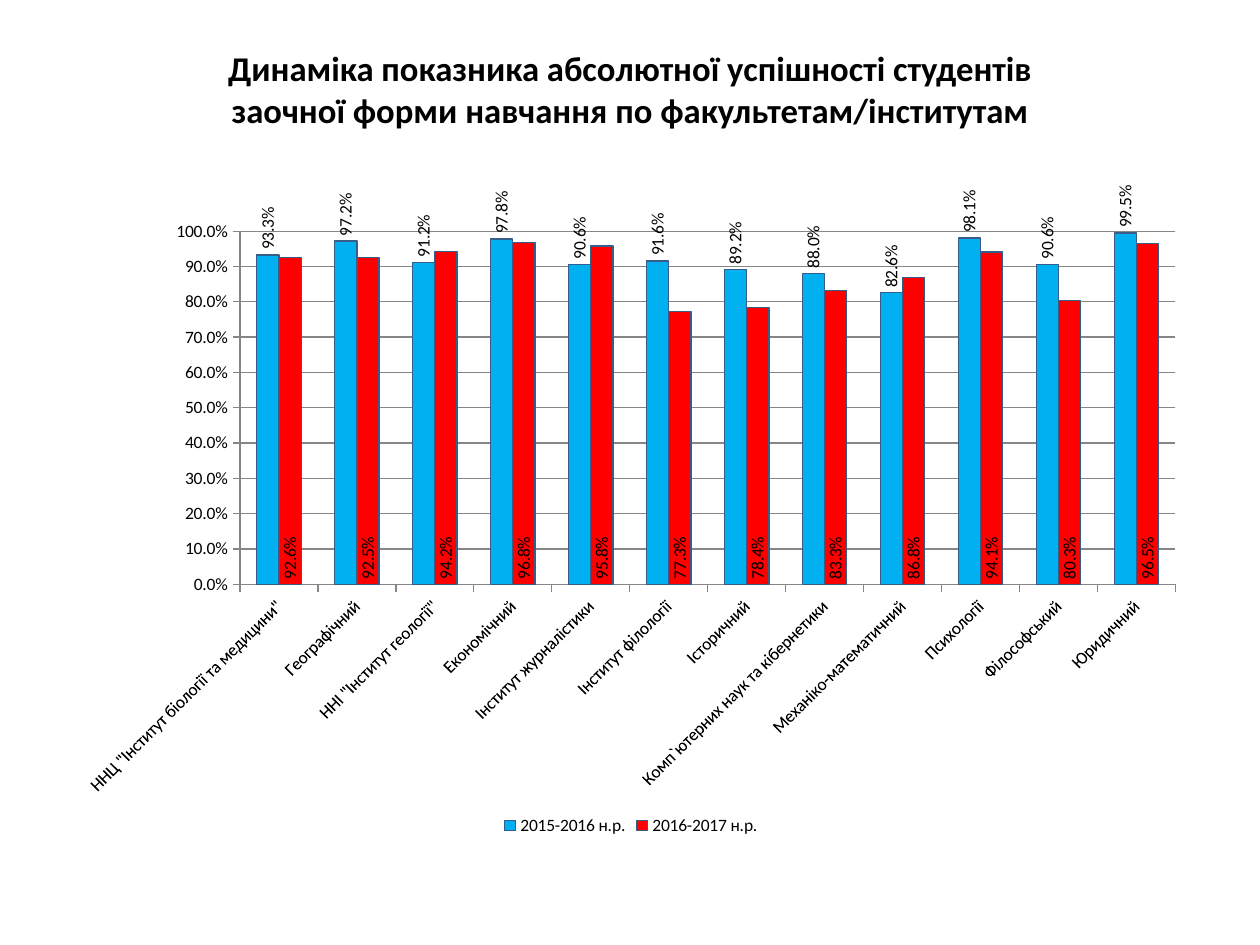
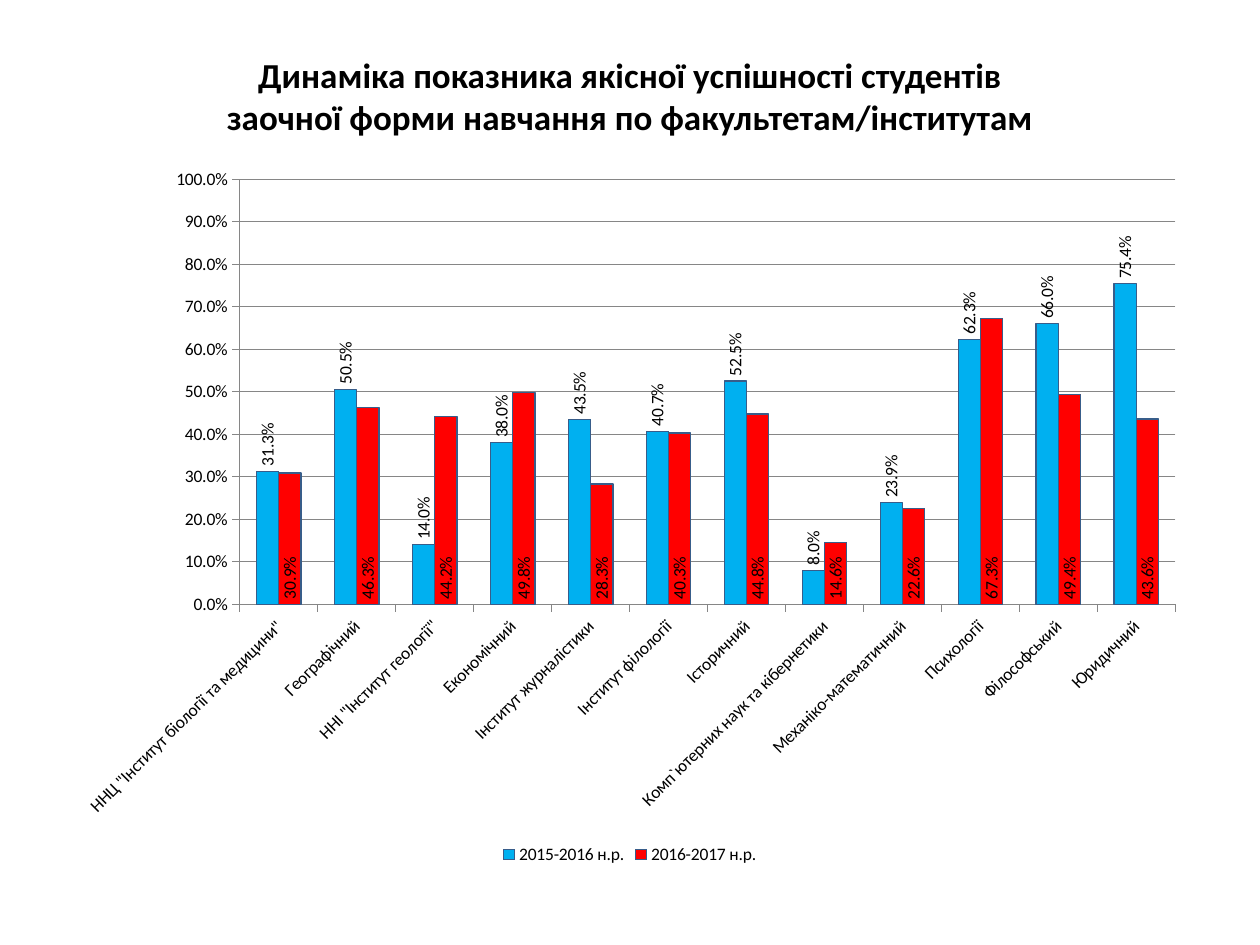
from lxml import etree
from pptx import Presentation
from pptx import util as u
from pptx.chart.data import CategoryChartData
from pptx.dml.color import RGBColor
from pptx.enum import chart as charts, text
from pptx.oxml.ns import qn

WIDTH, HEIGHT = 10, 7.5
MARGIN = 0.05 * WIDTH
FONT = "Calibri"
BLACK, GRID, BAR_EDGE = "000000", "868686", "385D8A"
YEARS = {
    "2015-2016 н.р.": ("00B0F0", charts.XL_LABEL_POSITION.OUTSIDE_END),
    "2016-2017 н.р.": ("FF0000", charts.XL_LABEL_POSITION.INSIDE_BASE),
}
FACULTIES = [
    'ННЦ "Інститут біології та медицини"', "Географічний",
    'ННІ "Інститут геології"', "Економічний", "Інститут журналістики",
    "Інститут філології", "Історичний", "Комп`ютерних наук та кібернетики",
    "Механіко-математичний", "Психології", "Філософський", "Юридичний",
]
SLIDES = [
    {
        "measure": "абсолютної", "size": 19.8,
        "title": (MARGIN, 0.44, 1.18), "inset": 0.37,
        "chart": (0.51, 1.47, 5.2), "plot": (0.155, 0.065, 0.825, 0.542),
        "rates": [
            [93.3, 97.2, 91.2, 97.8, 90.6, 91.6, 89.2, 88.0, 82.6, 98.1, 90.6, 99.5],
            [92.6, 92.5, 94.2, 96.8, 95.8, 77.3, 78.4, 83.3, 86.8, 94.1, 80.3, 96.5],
        ],
    },
    {
        "measure": "якісної", "size": 20,
        "title": (MARGIN, 0.3, 1.25), "inset": 0.05,
        "chart": (MARGIN, 1.23, 5.67), "plot": (0.156, 0.034, 0.825, 0.595),
        "rates": [
            [31.3, 50.5, 14.0, 38.0, 43.5, 40.7, 52.5, 8.0, 23.9, 62.3, 66.0, 75.4],
            [30.9, 46.3, 44.2, 49.8, 28.3, 40.3, 44.8, 14.6, 22.6, 67.3, 49.4, 43.6],
        ],
    },
]


def colour(value):
    return RGBColor.from_string(value)


def band(left, top, height):
    return [u.Inches(n) for n in (left, top, WIDTH - 2 * MARGIN, height)]


def style_font(font, size, bold=False):
    font.name, font.size, font.bold = FONT, u.Pt(size), bold
    font.color.rgb = colour(BLACK)


def style_line(line, value):
    line.color.rgb = colour(value)
    line.width = u.Pt(0.75)


def rotate(labels_owner, degrees):
    body = labels_owner.xpath("c:txPr/a:bodyPr")[0]
    body.set("rot", str(degrees * 60000))
    body.set("vert", "horz")


def place_plot(chart, shares):
    plot_area = chart._chartSpace.chart.plotArea
    for old in plot_area.findall(qn("c:layout")):
        plot_area.remove(old)
    layout = etree.Element(qn("c:layout"))
    manual = etree.SubElement(layout, qn("c:manualLayout"))
    settings = [("layoutTarget", "inner"), ("xMode", "edge"), ("yMode", "edge")]
    for tag, value in settings + list(zip("xywh", shares)):
        etree.SubElement(manual, qn(f"c:{tag}")).set("val", str(value))
    plot_area.insert(0, layout)


def add_title(slide, content):
    frame = slide.shapes.add_textbox(*band(*content["title"])).text_frame
    frame.word_wrap = True
    frame.vertical_anchor = text.MSO_ANCHOR.MIDDLE
    frame.margin_bottom = u.Inches(content["inset"])
    frame.text = (f"Динаміка показника {content['measure']} успішності студентів\v"
                  "заочної форми навчання по факультетам/інститутам\v")
    heading = frame.paragraphs[0]
    heading.alignment = text.PP_ALIGN.CENTER
    for run in heading.runs:
        style_font(run.font, content["size"], bold=True)
    line_end = etree.SubElement(heading._p, qn("a:endParaRPr"))
    line_end.set("sz", str(round(content["size"] * 100)))


def style_axes(chart):
    for axis in (chart.category_axis, chart.value_axis):
        axis.major_tick_mark = charts.XL_TICK_MARK.OUTSIDE
        axis.minor_tick_mark = charts.XL_TICK_MARK.NONE
        style_line(axis.format.line, GRID)
        style_font(axis.tick_labels.font, 10)
    rotate(chart.category_axis._element, -45)
    rates = chart.value_axis
    rates.minimum_scale, rates.maximum_scale, rates.major_unit = 0, 1, 0.1
    rates.has_major_gridlines = True
    style_line(rates.major_gridlines.format.line, GRID)
    rates.tick_labels.number_format = "0.0%"
    rates.tick_labels.number_format_is_linked = False


def style_year(series, fill, label_position):
    series.invert_if_negative = False
    series.format.fill.solid()
    series.format.fill.fore_color.rgb = colour(fill)
    style_line(series.format.line, BAR_EDGE)
    labels = series.data_labels
    labels.show_value = True
    labels.number_format = "0.0%"
    labels.number_format_is_linked = False
    labels.position = label_position
    style_font(labels.font, 10)
    rotate(labels._element, -90)


def add_rates_chart(slide, content):
    data = CategoryChartData(number_format="0.0%")
    data.categories = FACULTIES
    for year, rates in zip(YEARS, content["rates"]):
        data.add_series(year, [round(rate / 100, 3) for rate in rates])
    chart = slide.shapes.add_chart(
        charts.XL_CHART_TYPE.COLUMN_CLUSTERED, *band(*content["chart"]), data).chart
    style_font(chart.font, 10)
    chart.has_title = False
    chart.has_legend = True
    chart.legend.position = charts.XL_LEGEND_POSITION.BOTTOM
    chart.legend.include_in_layout = False
    columns = chart.plots[0]
    columns.gap_width, columns.overlap, columns.vary_by_categories = 150, 0, False
    style_axes(chart)
    for series, look in zip(columns.series, YEARS.values()):
        style_year(series, *look)
    place_plot(chart, content["plot"])


def main():
    deck = Presentation()
    deck.slide_width, deck.slide_height = u.Inches(WIDTH), u.Inches(HEIGHT)
    for content in SLIDES:
        slide = deck.slides.add_slide(deck.slide_layouts[6])
        add_title(slide, content)
        add_rates_chart(slide, content)
    deck.save("out.pptx")


main()
